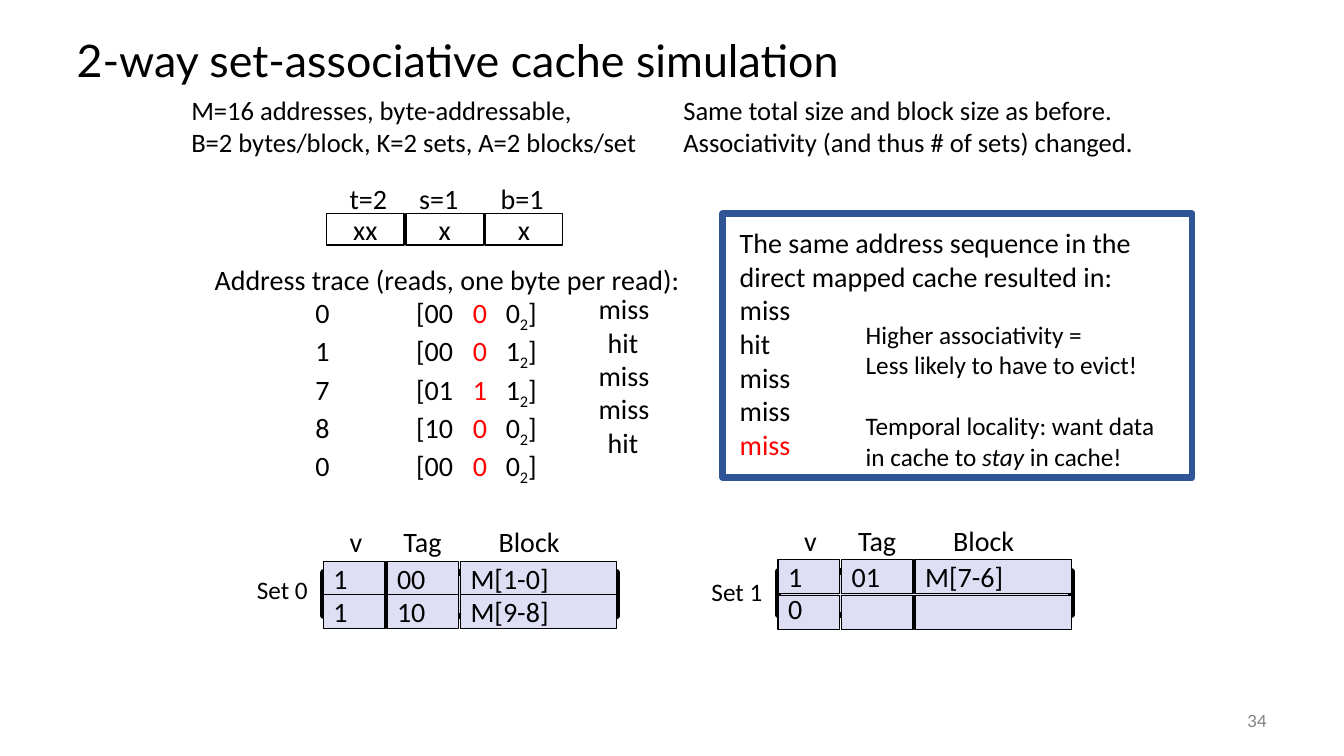
from lxml import etree
from pptx import Presentation
from pptx.dml.color import RGBColor
from pptx.enum import shapes, text
from pptx.oxml import ns
from pptx.util import Pt

COLORS = {"black": "000000", "white": "FFFFFF", "red": "FF0000",
          "grey": "808080", "cell": "DEDFF5", "frame": "2F5597"}

deck = Presentation()
deck.slide_width, deck.slide_height = Pt(960), Pt(540)
page = deck.slides.add_slide(deck.slide_layouts[5])


def write(box, paragraphs, size=20, font="Calibri", color="black", wrap=True,
          anchor=text.MSO_ANCHOR.TOP, align=text.PP_ALIGN.LEFT, spacing=None):
    """Fill a box with paragraphs, each a string or a list of (words, style) runs."""
    frame = box.text_frame
    frame.word_wrap = wrap
    frame.vertical_anchor = anchor
    for index, runs in enumerate(paragraphs):
        para = frame.add_paragraph() if index else frame.paragraphs[0]
        para.alignment = align
        if spacing:
            para.line_spacing = spacing
        para.font.size = Pt(size)
        para.font.name = font
        para.font.color.rgb = RGBColor.from_string(COLORS[color])
        for words, style in [(runs, "")] if isinstance(runs, str) else runs:
            for number, line in enumerate(words.split("\n")):
                if number:
                    para.add_line_break()
                span = para.add_run()
                span.text = line
                if style == "red":
                    span.font.color.rgb = RGBColor.from_string(COLORS["red"])
                elif style == "italic":
                    span.font.italic = True
                elif style == "sub":
                    span.font._element.set("baseline", "-25000")


def add_rect(left, top, width, height, fill, line="black", weight=1):
    rect = page.shapes.add_shape(shapes.MSO_SHAPE.RECTANGLE,
                                 Pt(left), Pt(top), Pt(width), Pt(height))
    rect.shadow.inherit = False
    if fill:
        rect.fill.solid()
        rect.fill.fore_color.rgb = RGBColor.from_string(COLORS[fill])
    else:
        rect.fill.background()
    rect.line.color.rgb = RGBColor.from_string(COLORS[line])
    rect.line.width = Pt(weight)
    return rect


# Title, parameters and page number
title = page.shapes.title
title.left, title.top, title.width, title.height = Pt(47.5), Pt(18), Pt(864), Pt(54)
write(title, ["2-way set-associative cache simulation"], 32, "Lato",
      anchor=text.MSO_ANCHOR.MIDDLE, spacing=0.9)

for left, width, lines in [
    (129.6, 344, ["M=16 addresses, byte-addressable,",
                  "B=2 bytes/block, K=2 sets, A=2 blocks/set"]),
    (481, 348, ["Same total size and block size as before.",
                "Associativity (and thus # of sets) changed."]),
]:
    write(page.shapes.add_textbox(Pt(left), Pt(63.4), Pt(width), Pt(53.3)), lines, 19)

write(page.shapes.add_textbox(Pt(840), Pt(500.4), Pt(72), Pt(28.8)), ["34"], 12, "Lato",
      "grey", anchor=text.MSO_ANCHOR.MIDDLE, align=text.PP_ALIGN.RIGHT)

# Address fields
fields = [("t=2", 242.6, 41.8, "xx"), ("s=1", 292.3, 43.9, "x"), ("b=1", 350.6, 46.1, "x")]
for column, (name, left, width, bits) in enumerate(fields):
    write(page.shapes.add_textbox(Pt(left), Pt(126), Pt(width), Pt(31)), [name], wrap=False)
    write(add_rect(233.3 + 56.6 * column, 152.6, 55.4, 22.3, "white"), [bits],
          wrap=False, anchor=text.MSO_ANCHOR.MIDDLE, align=text.PP_ALIGN.CENTER)

# Address trace with its results
reads = [("0", "00", "0", "0", "miss"), ("1", "00", "0", "1", "hit"),
         ("7", "01", "1", "1", "miss"), ("8", "10", "0", "0", "miss"),
         ("0", "00", "0", "0", "hit")]
trace_lines = ["Address trace (reads, one byte per read):"]
for row, (address, tag, set_bit, offset, result) in enumerate(reads):
    trace_lines.append([(f"\t{address}\t[{tag}\t", ""), (f"{set_bit}\t", "red"),
                        (offset, ""), ("2", "sub"), ("]", "")])
    left, width = (420.5, 51.8) if result == "miss" else (427, 37.4)
    write(page.shapes.add_textbox(Pt(left), Pt(212.4 + 23.8 * row), Pt(width), Pt(24.5)),
          [result], wrap=False, spacing=0.65)

trace = page.shapes.add_textbox(Pt(146.2), Pt(183.6), Pt(360), Pt(152.6))
write(trace, trace_lines)
for para in trace.text_frame.paragraphs[1:]:
    tab_stops = etree.Element(ns.qn("a:tabLst"))
    for position in (72, 144, 184.5, 208):
        etree.SubElement(tab_stops, ns.qn("a:tab"), pos=str(int(Pt(position))), algn="l")
    para._p.pPr.insert(0, tab_stops)

# Cache sets: left edge, top and pitch of the rows, backing box, name and heading places
cache_sets = [
    ("Set 0", 231.1, 401, 23.8, 409, 176.4, 406.8, 370.8,
     [("1", "00", "M[1-0]"), ("1", "10", "M[9-8]")]),
    ("Set 1", 555.8, 399.6, 25.9, 408.2, 501.1, 408.2, 370.1,
     [("1", "01", "M[7-6]"), ("0", "", "")]),
]
columns = [("v", 0, 43.9, 11.5, 23.8), ("Tag", 45.4, 51.1, 50, 42.5),
           ("Block", 97.9, 111.6, 118, 59.8)]
for name, left, top, pitch, back_top, name_left, name_top, head_top, rows in cache_sets:
    add_rect(left, back_top, 209.5, 31, "cell", weight=4.5)
    write(page.shapes.add_textbox(Pt(name_left), Pt(name_top), Pt(51.8), Pt(28.8)),
          [name], 18, wrap=False)
    for column, (heading, shift, width, head_shift, head_width) in enumerate(columns):
        write(page.shapes.add_textbox(Pt(left + head_shift), Pt(head_top),
                                      Pt(head_width), Pt(31)), [heading], wrap=False)
        for row, values in enumerate(rows):
            cell = add_rect(left + shift, top + pitch * row, width, 24.2, "cell")
            if values[column]:
                write(cell, [values[column]], anchor=text.MSO_ANCHOR.MIDDLE,
                      spacing=0.65 if values[column] == "0" else None)

# Comparison with the direct mapped cache
write(page.shapes.add_textbox(Pt(521.3), Pt(157.7), Pt(324.7), Pt(176.4)),
      ["The same address sequence in the\ndirect mapped cache resulted in:",
       "miss", "hit", "miss", "miss", [("miss", "red")]])
lesson = page.shapes.add_textbox(Pt(611.3), Pt(224.6), Pt(228.2), Pt(116.6))
write(lesson, ["Higher associativity =", "Less likely to have to evict!",
               [("Temporal locality: want data\nin cache to ", ""),
                ("stay", "italic"), (" in cache!", "")]], 18)
lesson.text_frame.paragraphs[2].space_before = Pt(22)
add_rect(516.2, 152.6, 335.5, 188.6, None, "frame", 4.5)

deck.save("out.pptx")
